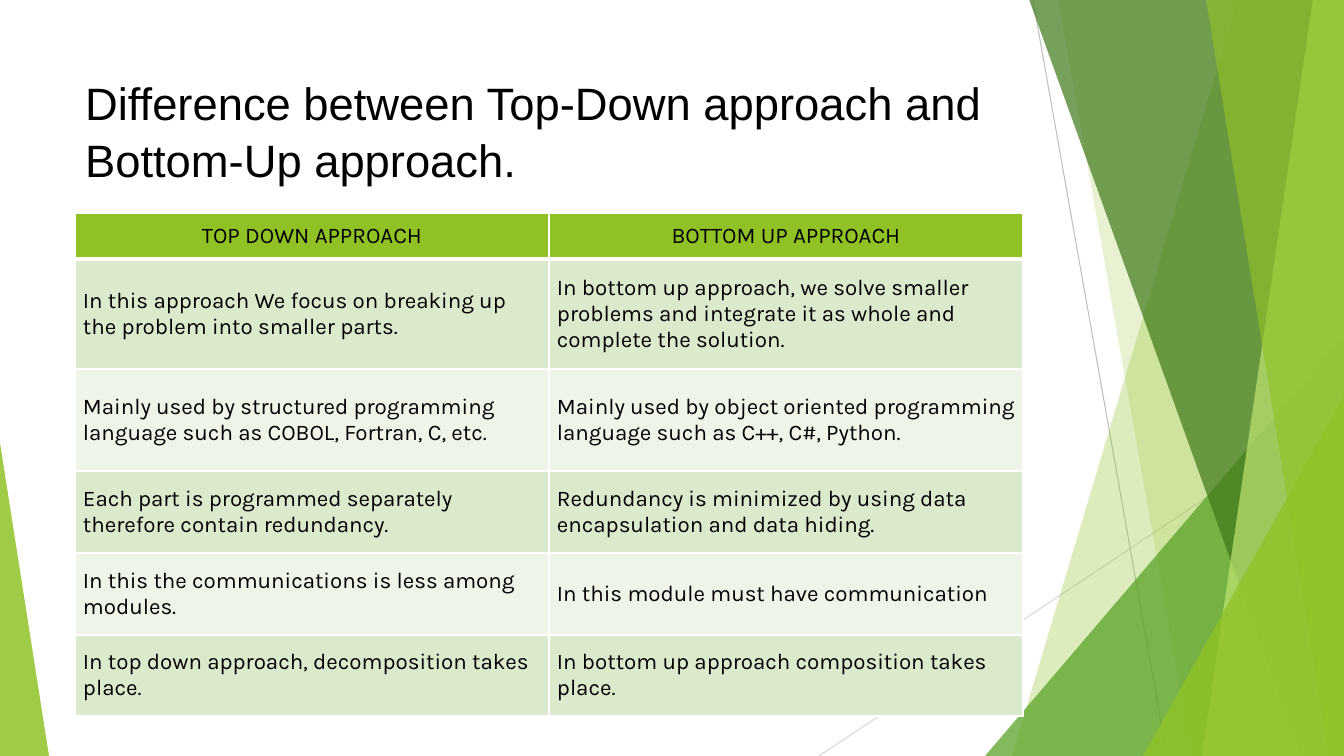
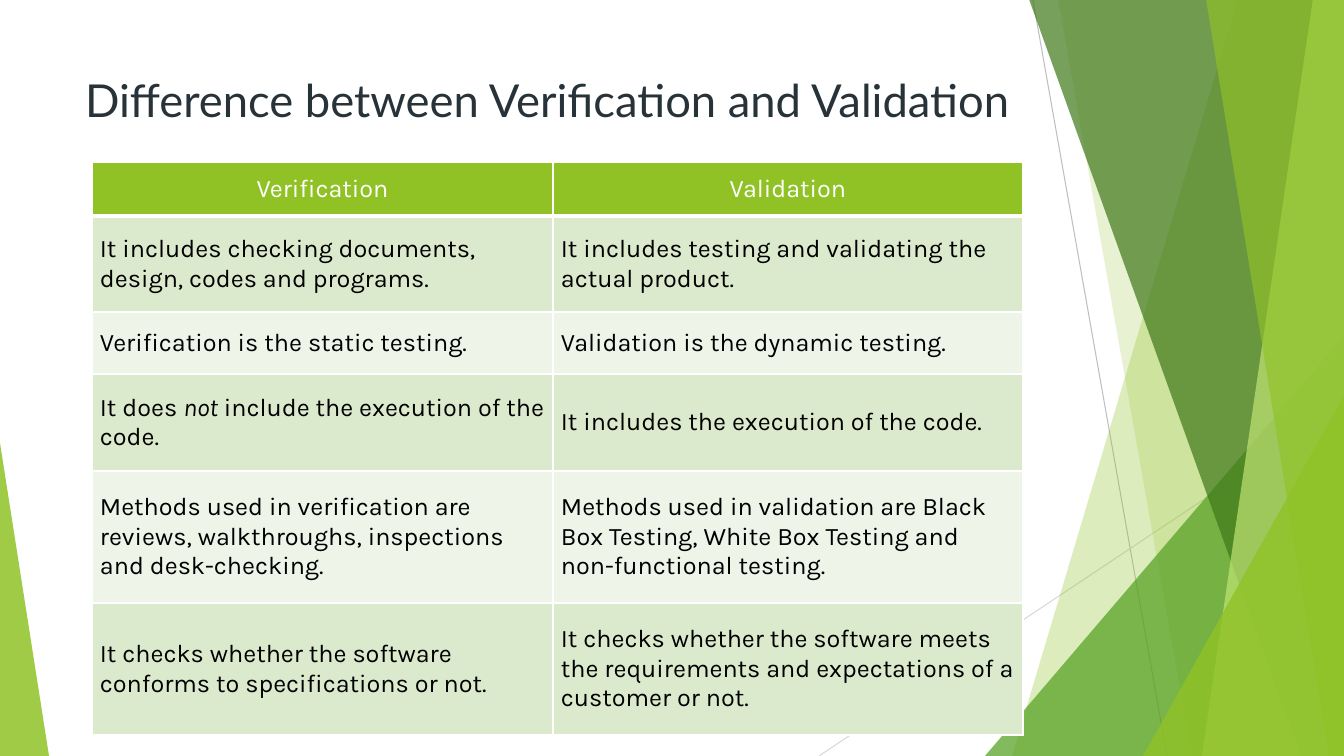
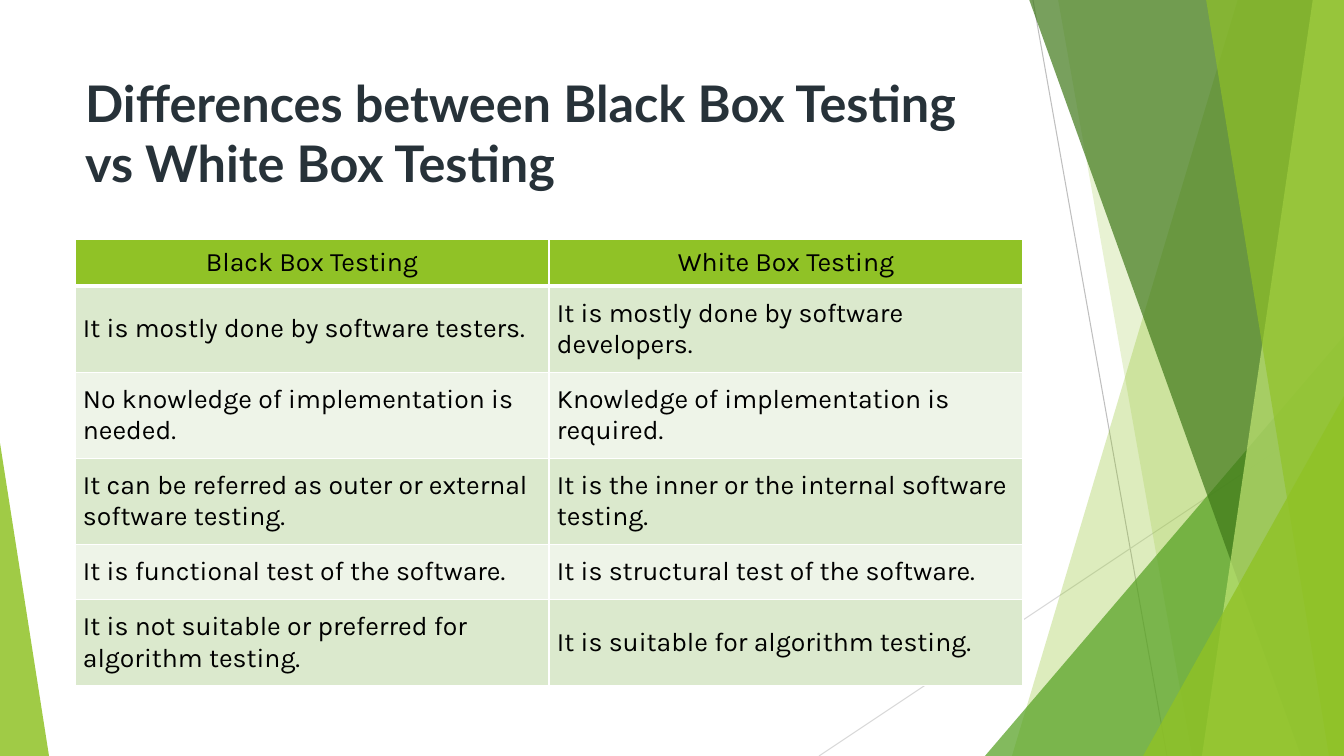
from dataclasses import dataclass
from typing import Union

from lxml.etree import SubElement
from pptx import Presentation
from pptx.dml.color import RGBColor
from pptx.enum.shapes import MSO_CONNECTOR, MSO_SHAPE
from pptx.enum.text import MSO_ANCHOR, MSO_AUTO_SIZE, PP_ALIGN
from pptx.oxml.ns import qn
from pptx.shapes.autoshape import Shape
from pptx.slide import Slide, SlideLayout
from pptx.table import _Cell
from pptx.text.text import _Paragraph
from pptx.util import Emu, Pt

EMU_PER_PX = 914400 / 100.8
SLIDE_WIDTH, SLIDE_HEIGHT = 1344, 756

WHITE, BLACK, SLATE = "FFFFFF", "000000", "273239"
LIME, PALE_LIME = "90C226", "C0E474"
GREEN, DARK_GREEN = "54A021", "3F7819"
BAND_FILLS = ("DBE9CD", "EEF4E8")
TABLE_FONT = "Karla"
TITLE_LEFT, TITLE_TOP, TITLE_WIDTH = 75, 67, 947


@dataclass(frozen=True)
class Ray:
    start: tuple[int, int]
    end: tuple[int, int]
    color: str


@dataclass(frozen=True)
class Blade:
    top_left: int
    bottom_left: int
    color: str
    opacity: int


@dataclass(frozen=True)
class Wedge:
    left: int
    top: int
    width: int
    apex: int
    color: str
    opacity: int


@dataclass(frozen=True)
class Title:
    text: str
    height: int
    size: float = 32.4
    font: str = "Lato"
    color: str = SLATE
    bold: bool = False
    line_spacing: float = 1.0


@dataclass(frozen=True)
class Comparison:
    title: Title
    left: int
    top: int
    columns: tuple[int, int]
    row_heights: tuple[int, ...]
    text_size: int
    header_color: str
    rows: tuple[tuple[str, str], ...]


RAYS = (
    Ray((1033, 0), (1167, 756), "BFBFBF"),
    Ray((1344, 406), (819, 756), "D9D9D9"),
)

FACETS: tuple[Union[Blade, Wedge], ...] = (
    Blade(1238, 1012, LIME, 30),
    Blade(1058, 1192, LIME, 20),
    Wedge(985, 336, 359, 1, GREEN, 72),
    Blade(1029, 1301, DARK_GREEN, 70),
    Blade(1313, 1202, PALE_LIME, 70),
    Blade(1206, 1329, LIME, 65),
    Wedge(1143, 396, 201, 1, LIME, 80),
    Wedge(0, 443, 49, 0, LIME, 85),
)

COMPARISONS = (
    Comparison(
        Title("Difference between Top-Down approach and Bottom-Up approach.",
              116, font="Arial", color=BLACK, line_spacing=1.05),
        75, 213, (474, 474), (46, 110, 102, 82, 82, 81), 16, BLACK,
        (
            ("TOP DOWN APPROACH", "BOTTOM UP APPROACH"),
            ("In this approach We focus on breaking up the problem into smaller parts.",
             "In bottom up approach, we solve smaller problems and integrate it as whole "
             "and complete the solution."),
            ("Mainly used by structured programming language such as COBOL, Fortran, C, etc.",
             "Mainly used by object oriented programming language such as C++, C#, Python."),
            ("Each part is programmed separately therefore contain redundancy.",
             "Redundancy is minimized by using data encapsulation and data hiding."),
            ("In this the communications is less among modules.",
             "In this module must have communication"),
            ("In top down approach, decomposition takes place.",
             "In bottom up approach composition takes place."),
        ),
    ),
    Comparison(
        Title("Difference between Verification and Validation", 73),
        92, 162, (461, 470), (54, 96, 62, 97, 132, 132), 18, WHITE,
        (
            ("Verification", "Validation"),
            ("It includes checking documents, design, codes and programs.",
             "It includes testing and validating the actual product."),
            ("Verification is the static testing.", "Validation is the dynamic testing."),
            ("It does *not* include the execution of the code.",
             "It includes the execution of the code."),
            ("Methods used in verification are reviews, walkthroughs, inspections "
             "and desk-checking.",
             "Methods used in validation are Black Box Testing, White Box Testing "
             "and non-functional testing."),
            ("It checks whether the software conforms to specifications or not.",
             "It checks whether the software meets the requirements and expectations "
             "of a customer or not."),
        ),
    ),
    Comparison(
        Title("Differences between Black Box Testing vs White Box Testing",
              145, size=36, bold=True),
        75, 239, (474, 474), (47, 85, 85, 85, 55, 85), 19, BLACK,
        (
            ("Black Box Testing", "White Box Testing"),
            ("It is mostly done by software testers.",
             "It is mostly done by software developers."),
            ("No knowledge of implementation is needed.",
             "Knowledge of implementation is required."),
            ("It can be referred as outer or external software testing.",
             "It is the inner or the internal software testing."),
            ("It is functional test of the software.",
             "It is structural test of the software."),
            ("It is not suitable or preferred for algorithm testing.",
             "It is suitable for algorithm testing."),
        ),
    ),
)


def px(length: int) -> Emu:
    return Emu(round(length * EMU_PER_PX))


def rgb(color: str) -> RGBColor:
    return RGBColor.from_string(color)


def style_text(paragraph: _Paragraph, font: str, size: float, color: str,
               bold: bool = False) -> None:
    paragraph.font.name = font
    paragraph.font.size = Pt(size)
    paragraph.font.bold = bold
    paragraph.font.color.rgb = rgb(color)


def draw_ray(slide: Slide, ray: Ray) -> None:
    line = slide.shapes.add_connector(
        MSO_CONNECTOR.STRAIGHT, *map(px, ray.start + ray.end))
    line.line.color.rgb = rgb(ray.color)
    line.line.width = Pt(0.75)
    SubElement(line.element.spPr, qn("a:effectLst"))


def outline_blade(slide: Slide, blade: Blade) -> Shape:
    builder = slide.shapes.build_freeform(blade.top_left, -1, scale=EMU_PER_PX)
    builder.add_line_segments([
        (SLIDE_WIDTH, -1),
        (SLIDE_WIDTH, SLIDE_HEIGHT),
        (blade.bottom_left, SLIDE_HEIGHT),
    ])
    return builder.convert_to_shape()


def outline_wedge(slide: Slide, wedge: Wedge) -> Shape:
    triangle = slide.shapes.add_shape(
        MSO_SHAPE.ISOSCELES_TRIANGLE, px(wedge.left), px(wedge.top),
        px(wedge.width), px(SLIDE_HEIGHT - wedge.top))
    triangle.adjustments[0] = wedge.apex
    return triangle


def draw_facet(slide: Slide, facet: Union[Blade, Wedge]) -> None:
    outline = outline_blade if isinstance(facet, Blade) else outline_wedge
    shape = outline(slide, facet)
    shape.shadow.inherit = False
    shape.fill.solid()
    shape.fill.fore_color.rgb = rgb(facet.color)
    shape.line.fill.background()
    tint = shape.element.spPr.find(qn("a:solidFill")).find(qn("a:srgbClr"))
    SubElement(tint, qn("a:alpha"), val=str(facet.opacity * 1000))


def decorate_layout(layout: SlideLayout, slide: Slide) -> None:
    for placeholder in list(layout.placeholders):
        if placeholder.placeholder_format.idx != 0:
            layout.shapes.element.remove(placeholder.element)
    for ray in RAYS:
        draw_ray(slide, ray)
    for facet in FACETS:
        draw_facet(slide, facet)
    for decoration in list(slide.shapes):
        if not decoration.is_placeholder:
            layout.shapes.element.append(decoration.element)


def write_title(slide: Slide, title: Title) -> None:
    heading = slide.shapes.title
    heading.left, heading.top = px(TITLE_LEFT), px(TITLE_TOP)
    heading.width, heading.height = px(TITLE_WIDTH), px(title.height)
    frame = heading.text_frame
    frame.text = title.text
    frame.word_wrap = True
    frame.auto_size = MSO_AUTO_SIZE.NONE
    frame.vertical_anchor = MSO_ANCHOR.TOP
    paragraph = frame.paragraphs[0]
    paragraph.alignment = PP_ALIGN.LEFT
    paragraph.line_spacing = title.line_spacing
    style_text(paragraph, title.font, title.size, title.color, title.bold)


def set_borders(cell: _Cell, top: int, bottom: int) -> None:
    properties = cell._tc.get_or_add_tcPr()
    for side, width in (("L", 1), ("R", 1), ("T", top), ("B", bottom)):
        border = SubElement(properties, qn(f"a:ln{side}"), w=str(Pt(width)))
        fill = SubElement(border, qn("a:solidFill"))
        SubElement(fill, qn("a:srgbClr"), val=WHITE)


def fill_cell(cell: _Cell, text: str, row: int, comparison: Comparison) -> None:
    is_header = row == 0
    set_borders(cell, top=3 if row == 1 else 1, bottom=3 if is_header else 1)
    cell.fill.solid()
    cell.fill.fore_color.rgb = rgb(LIME if is_header else BAND_FILLS[(row - 1) % 2])
    cell.vertical_anchor = MSO_ANCHOR.MIDDLE
    cell.margin_left = cell.margin_right = px(8)
    cell.margin_top = cell.margin_bottom = px(8 if is_header else 12)
    paragraph = cell.text_frame.paragraphs[0]
    paragraph.alignment = PP_ALIGN.CENTER if is_header else PP_ALIGN.LEFT
    style_text(paragraph, TABLE_FONT, comparison.text_size,
               comparison.header_color if is_header else BLACK)
    for position, piece in enumerate(text.split("*")):
        run = paragraph.add_run()
        run.text = piece
        if position % 2:
            run.font.italic = True


def draw_comparison(slide: Slide, comparison: Comparison) -> None:
    table = slide.shapes.add_table(
        len(comparison.rows), len(comparison.columns),
        px(comparison.left), px(comparison.top),
        px(sum(comparison.columns)), px(sum(comparison.row_heights))).table
    for column, width in zip(table.columns, comparison.columns):
        column.width = px(width)
    for row, height in zip(table.rows, comparison.row_heights):
        row.height = px(height)
    for row, texts in enumerate(comparison.rows):
        for column, text in enumerate(texts):
            fill_cell(table.cell(row, column), text, row, comparison)


def main() -> None:
    deck = Presentation()
    deck.slide_width, deck.slide_height = px(SLIDE_WIDTH), px(SLIDE_HEIGHT)
    layout = deck.slide_layouts.get_by_name("Title Only")
    slides = [deck.slides.add_slide(layout) for _ in COMPARISONS]
    decorate_layout(layout, slides[0])
    for slide, comparison in zip(slides, COMPARISONS):
        write_title(slide, comparison.title)
        draw_comparison(slide, comparison)
    deck.save("out.pptx")


if __name__ == "__main__":
    main()
